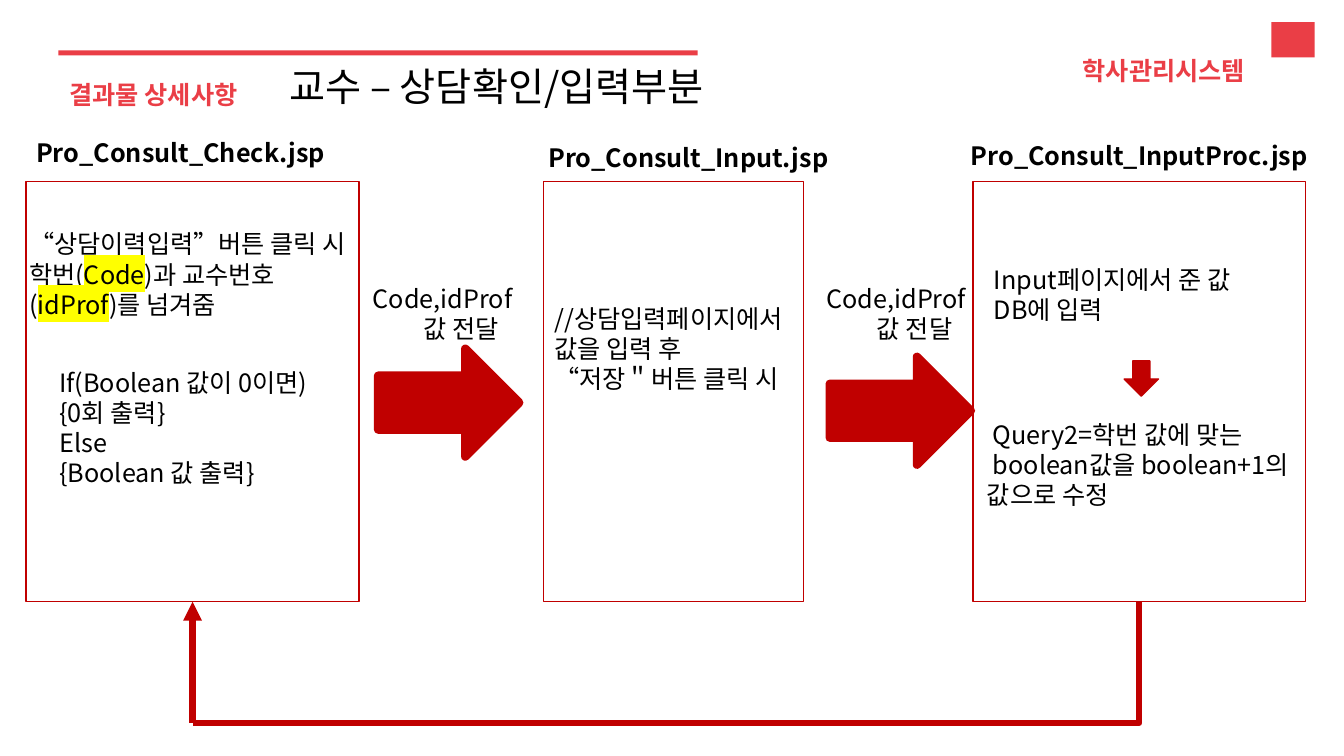
"""Build the slide on the consultation check and input flow between three JSP pages."""
from dataclasses import dataclass

from lxml.etree import SubElement
from pptx import Presentation
from pptx.dml.color import RGBColor
from pptx.enum.shapes import MSO_CONNECTOR, MSO_SHAPE
from pptx.enum.text import MSO_ANCHOR, PP_ALIGN
from pptx.oxml.ns import qn
from pptx.util import Inches, Pt


@dataclass(frozen=True)
class Theme:
    """Colours, font and type sizes of the slide."""
    accent: RGBColor = RGBColor(0xEA, 0x3E, 0x46)
    flow: RGBColor = RGBColor(0xC0, 0x00, 0x00)
    ink: RGBColor = RGBColor(0x00, 0x00, 0x00)
    highlight: str = "FFFF00"
    font: str = "Noto Sans CJK KR"
    body: int = 18
    title: int = 28
    thin: float = 1
    arrow: float = 6
    back: float = 4.5


THEME = Theme()


@dataclass(frozen=True)
class Para:
    """One paragraph; every second run is highlighted."""
    runs: tuple[str, ...]
    margin: float = 0
    indent: float = 0


@dataclass(frozen=True)
class Label:
    """A text box."""
    left: float
    top: float
    width: float
    height: float
    paras: tuple[Para, ...]
    bold: bool = False
    color: RGBColor = THEME.ink


@dataclass(frozen=True)
class Block:
    """A preset shape."""
    kind: MSO_SHAPE
    left: float
    top: float
    width: float
    height: float
    fill: RGBColor | None = None
    line: float = 0


def lines(*texts: str, indent: float = 0) -> tuple[Para, ...]:
    """Turn plain texts into paragraphs."""
    return tuple(Para((text,), indent=indent) for text in texts)


def write(sp, paras: tuple[Para, ...], size: int, bold: bool, color: RGBColor) -> None:
    """Fill and format the text of a shape."""
    tf = sp.text_frame
    tf.word_wrap = True
    tf.vertical_anchor = MSO_ANCHOR.TOP
    for i, para in enumerate(paras):
        p = tf.paragraphs[0] if i == 0 else tf.add_paragraph()
        p.alignment = PP_ALIGN.LEFT
        pPr = p._p.get_or_add_pPr()
        pPr.set("marL", str(Inches(para.margin)))
        pPr.set("indent", str(Inches(para.indent)))
        p.font.size, p.font.bold, p.font.name = Pt(size), bold, THEME.font
        p.font.color.rgb = color
        SubElement(pPr.find(qn("a:defRPr")), qn("a:ea"), typeface=THEME.font)
        for j, text in enumerate(para.runs):
            r = p.add_run()
            r.text = text
            if j % 2:
                mark = SubElement(r._r.get_or_add_rPr(), qn("a:highlight"))
                SubElement(mark, qn("a:srgbClr"), val=THEME.highlight)


def add_label(slide, label: Label) -> None:
    """Draw a text box."""
    sp = slide.shapes.add_textbox(Inches(label.left), Inches(label.top),
                                  Inches(label.width), Inches(label.height))
    write(sp, label.paras, THEME.body, label.bold, label.color)


def add_block(slide, block: Block):
    """Draw a preset shape and return it."""
    sp = slide.shapes.add_shape(block.kind, Inches(block.left), Inches(block.top),
                                Inches(block.width), Inches(block.height))
    sp.shadow.inherit = False
    if block.fill is None:
        sp.fill.background()
    else:
        sp.fill.solid()
        sp.fill.fore_color.rgb = block.fill
    if block.line:
        sp.line.color.rgb = THEME.flow
        sp.line.width = Pt(block.line)
    else:
        sp.line.fill.background()
    return sp


def add_line(slide, kind: MSO_CONNECTOR, x1: float, y1: float, x2: float, y2: float):
    """Draw a connector of the return path and return it."""
    cxn = slide.shapes.add_connector(kind, Inches(x1), Inches(y1), Inches(x2), Inches(y2))
    cxn.line.color.rgb = THEME.flow
    cxn.line.width = Pt(THEME.back)
    SubElement(cxn._element.spPr, qn("a:effectLst"))
    return cxn


def add_return_path(slide, check_page, start: float, end: float, top: float, bottom: float) -> None:
    """Lead from the last page under the others back up to the first."""
    drop, span = bottom - top, start - end
    mid_x, mid_y = (start + end) / 2, (top + bottom) / 2
    elbow = add_line(slide, MSO_CONNECTOR.ELBOW, mid_x - drop / 2, mid_y - span / 2,
                     mid_x + drop / 2, mid_y + span / 2)
    spPr = elbow._element.spPr
    spPr.find(qn("a:xfrm")).set("rot", str(90 * 60000))
    spPr.find(qn("a:prstGeom")).set("prst", "bentConnector2")
    rise = add_line(slide, MSO_CONNECTOR.STRAIGHT, end, bottom, end, top)
    rise.end_connect(check_page, 2)
    SubElement(rise.line._get_or_add_ln(), qn("a:tailEnd"), type="triangle")


PAGE_TOP, PAGE_HEIGHT, SIDE_WIDTH = 1.8, 4.17, 3.3
CHECK_LEFT, INPUT_LEFT, PROC_LEFT = 0.26, 5.39, 9.65
PAGES = [Block(MSO_SHAPE.RECTANGLE, left, PAGE_TOP, width, PAGE_HEIGHT, line=THEME.thin)
         for left, width in ((CHECK_LEFT, SIDE_WIDTH), (INPUT_LEFT, 2.58), (PROC_LEFT, SIDE_WIDTH))]
BLOCKS = [
    Block(MSO_SHAPE.RECTANGLE, 12.61, 0.22, 0.43, 0.35, THEME.accent),
    Block(MSO_SHAPE.RECTANGLE, 0.58, 0.5, 6.34, 0.05, THEME.accent),
    Block(MSO_SHAPE.RIGHT_ARROW, 3.75, 3.46, 1.4, 1.07, THEME.flow, THEME.arrow),
    Block(MSO_SHAPE.RIGHT_ARROW, 8.23, 3.54, 1.4, 1.07, THEME.flow, THEME.arrow),
    Block(MSO_SHAPE.DOWN_ARROW, 11.15, 3.58, 0.34, 0.35, THEME.flow, THEME.thin),
]
PASSED = (Para(("Code,idProf",)), Para(("값 전달",), margin=0.5))
LABELS = [
    Label(10.64, 0.5, 2.19, 0.4, lines("학사관리시스템"), True, THEME.accent),
    Label(0.59, 0.74, 2.19, 0.4, lines("결과물 상세사항"), True, THEME.accent),
    Label(0.26, 1.31, 3.59, 0.4, lines("Pro_Consult_Check.jsp"), True),
    Label(5.34, 1.36, 3.59, 0.4, lines("Pro_Consult_Input.jsp"), True),
    Label(9.53, 1.34, 3.59, 0.4, lines("Pro_Consult_InputProc.jsp"), True),
    Label(3.6, 2.76, 1.74, 0.71, PASSED),
    Label(8.1, 2.76, 1.74, 0.71, PASSED),
    Label(0.19, 2.22, 3.42, 1.01, (
        Para(("“상담이력입력”버튼 클릭 시",)),
        Para(("학번(", "Code", ")과 교수번호(", "idProf", ")를 넘겨줌")))),
    Label(0.49, 3.59, 2.71, 1.62,
          lines("If(Boolean 값이 0이면)", "{0회 출력}", "Else", "{Boolean 값 출력}")),
    Label(5.4, 2.96, 2.78, 1.01, lines("//상담입력페이지에서 값을 입력 후", "“저장＂버튼 클릭 시")),
    Label(9.76, 2.57, 2.91, 0.73, lines("Input페이지에서 준 값", "DB에 입력")),
    Label(9.69, 4.11, 3.39, 1.01,
          lines("Query2=학번 값에 맞는", "boolean값을 boolean+1의 값으로 수정", indent=0.06)),
]


def main() -> None:
    """Build and save the slide."""
    prs = Presentation()
    prs.slide_width, prs.slide_height = Inches(13.33), Inches(7.5)
    slide = prs.slides.add_slide(prs.slide_layouts[5])
    title = slide.shapes.title
    title.left, title.top = Inches(2.77), Inches(0.57)
    title.width, title.height = Inches(5.42), Inches(0.57)
    write(title, lines("교수 – 상담확인/입력부분"), THEME.title, False, THEME.ink)
    pages = [add_block(slide, page) for page in PAGES]
    for block in BLOCKS:
        add_block(slide, block)
    add_return_path(slide, pages[0], PROC_LEFT + SIDE_WIDTH / 2, CHECK_LEFT + SIDE_WIDTH / 2,
                    PAGE_TOP + PAGE_HEIGHT, 7.17)
    for label in LABELS:
        add_label(slide, label)
    prs.save("out.pptx")


if __name__ == "__main__":
    main()
